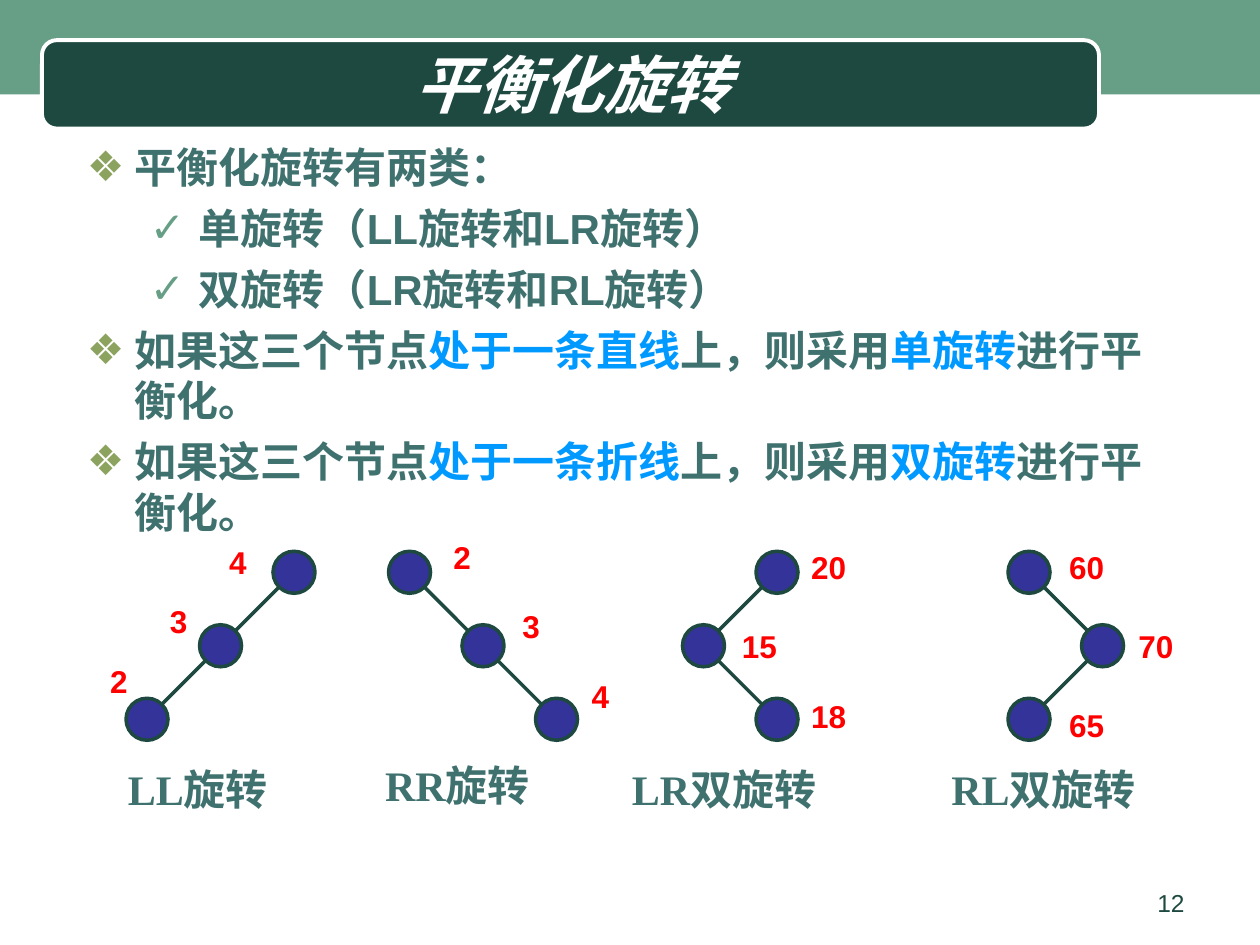
from lxml import etree
from pptx import Presentation
from pptx.dml.color import RGBColor
from pptx.enum.shapes import MSO_CONNECTOR, MSO_SHAPE
from pptx.enum.text import MSO_ANCHOR, PP_ALIGN
from pptx.oxml.ns import qn
from pptx.util import Pt

LEFT, CENTER, RIGHT = PP_ALIGN.LEFT, PP_ALIGN.CENTER, PP_ALIGN.RIGHT
TOP, MIDDLE = MSO_ANCHOR.TOP, MSO_ANCHOR.MIDDLE
RECTANGLE, ROUNDED, OVAL = MSO_SHAPE.RECTANGLE, MSO_SHAPE.ROUNDED_RECTANGLE, MSO_SHAPE.OVAL
STRAIGHT = MSO_CONNECTOR.STRAIGHT

COLORS = {
    name: RGBColor.from_string(value)
    for name, value in {
        "band": "669E86", "dark": "1D4940", "white": "FFFFFF",
        "text": "3F716F", "accent": "0099FF", "diamond": "8CA35F",
        "node": "333399", "key": "FF0000",
    }.items()
}

deck = Presentation()
deck.slide_width, deck.slide_height = Pt(720), Pt(540)
page = deck.slides.add_slide(deck.slide_layouts[6])
shapes = page.shapes


def add_shape(kind, left, top, width, height, fill, line=None, weight=0):
    shape = shapes.add_shape(kind, Pt(left), Pt(top), Pt(width), Pt(height))
    shape.shadow.inherit = False
    shape.fill.solid()
    shape.fill.fore_color.rgb = COLORS[fill]
    if line:
        shape.line.color.rgb = COLORS[line]
        shape.line.width = Pt(weight)
    else:
        shape.line.fill.background()
    return shape


def add_text(text, left, top, width, height, size, color, font="Arial",
             bold=True, align=LEFT, anchor=TOP, wrap=True):
    """Add a one-paragraph text box and return its paragraph."""
    frame = shapes.add_textbox(Pt(left), Pt(top), Pt(width), Pt(height)).text_frame
    frame.word_wrap = wrap
    frame.vertical_anchor = anchor
    para = frame.paragraphs[0]
    para.text = text
    para.alignment = align
    para.font.size = Pt(size)
    para.font.name = font
    para.font.bold = bold
    para.font.color.rgb = COLORS[color]
    return para


# Header
add_shape(RECTANGLE, 0, 0, 720, 54, "band")
banner = add_shape(ROUNDED, 24, 23, 604, 50.5, "dark", "white", 2.25)
banner.adjustments[0] = 0.167
title = add_text("平衡化旋转", 36, 25, 582, 45, 36, "white", "Noto Sans CJK JP",
                 align=CENTER, anchor=MIDDLE)
title.font.italic = True

# Body: level, then text runs alternating between plain and accent
points = [
    (0, ["平衡化旋转有两类："]),
    (1, ["单旋转（LL旋转和LR旋转）"]),
    (1, ["双旋转（LR旋转和RL旋转）"]),
    (0, ["如果这三个节点", "处于一条直线", "上，则采用", "单旋转", "进行平衡化。"]),
    (0, ["如果这三个节点", "处于一条折线", "上，则采用", "双旋转", "进行平衡化。"]),
]
bullets = [("❖", "diamond", 27, -27), ("✓", "band", 64, -28)]
body = shapes.add_textbox(Pt(42.5), Pt(77.5), Pt(635), Pt(238)).text_frame
body.word_wrap = True
for index, (level, pieces) in enumerate(points):
    para = body.add_paragraph() if index else body.paragraphs[0]
    mark, mark_color, margin, indent = bullets[level]
    para.level = level
    properties = para._p.get_or_add_pPr()
    properties.set("marL", str(Pt(margin)))
    properties.set("indent", str(Pt(indent)))
    bullet_color = etree.SubElement(properties, qn("a:buClr"))
    etree.SubElement(bullet_color, qn("a:srgbClr"), val=str(COLORS[mark_color]))
    etree.SubElement(properties, qn("a:buFont"), typeface="Arial")
    etree.SubElement(properties, qn("a:buChar"), char=mark)
    para.space_before = Pt(6 if index else 0)
    para.font.size = Pt(24)
    para.font.name = "Arial"
    para.font.bold = True
    for position, piece in enumerate(pieces):
        span = para.add_run()
        span.text = piece
        span.font.color.rgb = COLORS["accent" if position % 2 else "text"]

# Trees: caption, caption left and top, left edge of the top node,
# column of each node, and key with its centre
NODE, STEP, TREE_TOP = 24, 42, 315
trees = [
    ("LL旋转", 66, 433, 156, (0, -1, -2),
     [("4", 136, 321), ("3", 102, 355), ("2", 68, 389)]),
    ("RR旋转", 213, 430.5, 222, (0, 1, 2),
     [("2", 264, 318), ("3", 303.5, 357.5), ("4", 343, 397.5)]),
    ("LR双旋转", 354, 433, 432, (0, -1, 0),
     [("20", 473.5, 324), ("15", 434, 369), ("18", 473.5, 409)]),
    ("RL双旋转", 536.5, 433, 576, (0, 1, 0),
     [("60", 621, 324), ("70", 660.5, 369), ("65", 621, 414)]),
]
for caption, caption_left, caption_top, tree_left, columns, keys in trees:
    nodes = [(tree_left + column * STEP, TREE_TOP + row * STEP)
             for row, column in enumerate(columns)]
    centers = [(left + NODE / 2, top + NODE / 2) for left, top in nodes]
    for start, end in zip(centers, centers[1:]):
        edge = shapes.add_connector(STRAIGHT, *map(Pt, start + end))
        edge.line.color.rgb = COLORS["dark"]
        edge.line.width = Pt(2)
        etree.SubElement(edge._element.spPr, qn("a:effectLst"))
    for left, top in nodes:
        add_shape(OVAL, left, top, NODE, NODE, "node", "dark", 2)
    for key, x, y in keys:
        add_text(key, x - 22.5, y - 20, 45, 40, 18, "key",
                 align=CENTER, anchor=MIDDLE, wrap=False)
    add_text(caption, caption_left, caption_top, 152, 36, 24, "text", "Times New Roman")

add_text("12", 516, 504, 168, 25, 14, "dark", bold=False, align=RIGHT)

deck.save("out.pptx")
